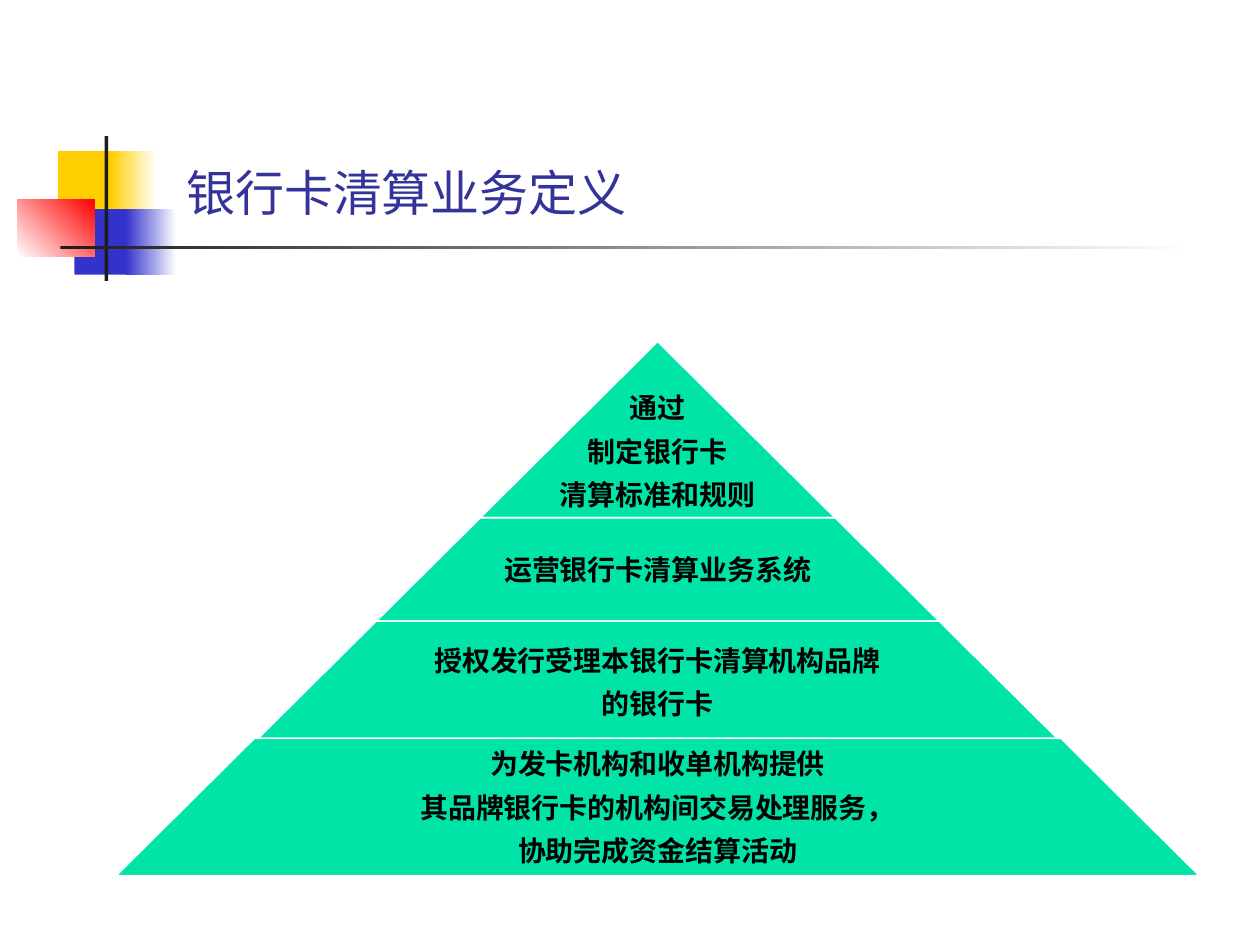
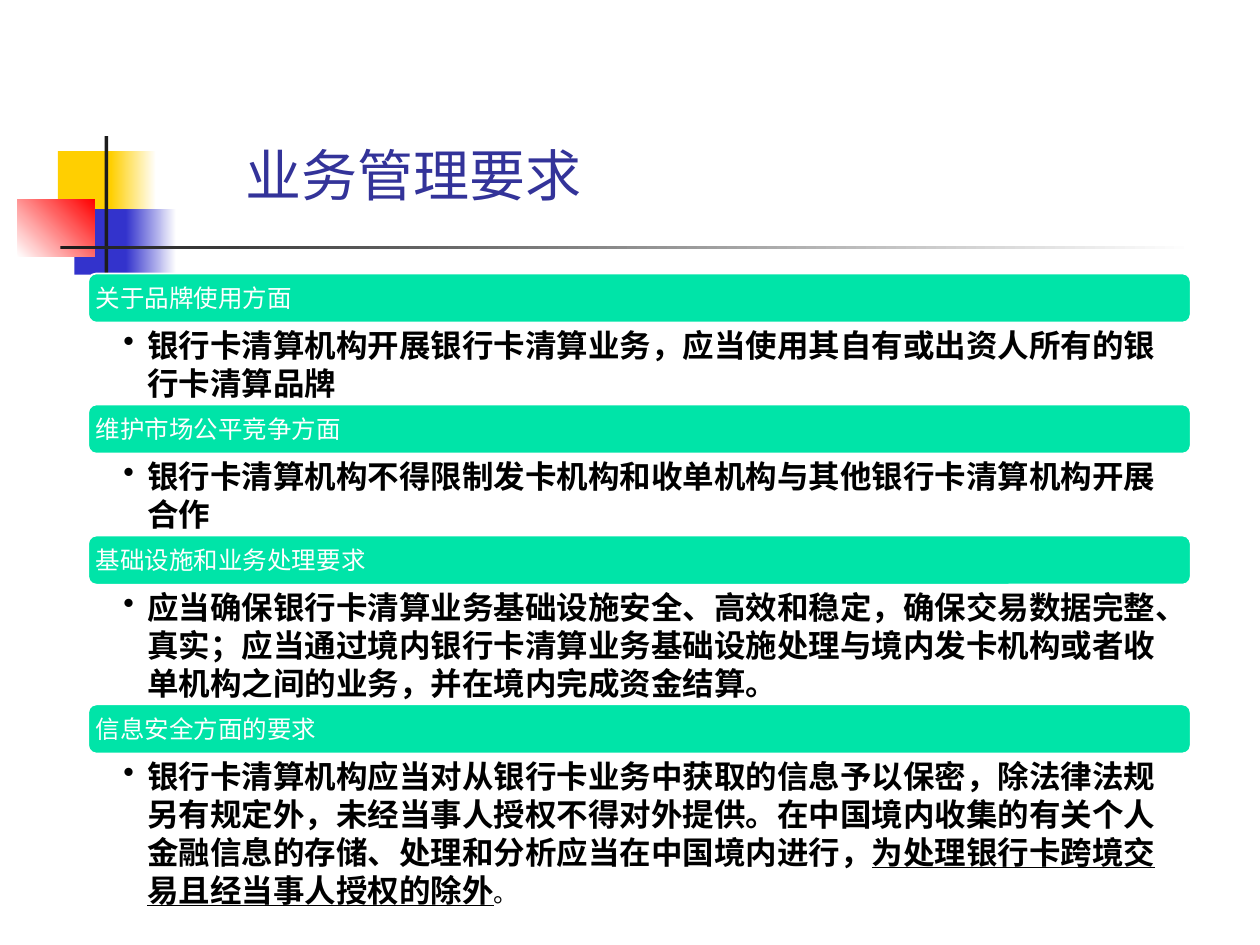
from lxml import etree
from pptx import Presentation
from pptx.dml.color import RGBColor
from pptx.enum.shapes import MSO_SHAPE
from pptx.enum.text import MSO_ANCHOR, PP_ALIGN
from pptx.oxml.ns import qn
from pptx.util import Inches, Pt

RECT, ROUND, TRAP = MSO_SHAPE.RECTANGLE, MSO_SHAPE.ROUNDED_RECTANGLE, MSO_SHAPE.TRAPEZOID
TOP, MIDDLE = MSO_ANCHOR.TOP, MSO_ANCHOR.MIDDLE
LEFT, CENTER = PP_ALIGN.LEFT, PP_ALIGN.CENTER

# Content
TITLES = ["银行卡清算业务定义", "业务管理要求"]
LAYERS = [  # height, lines
    (1.4, ["通过", "制定银行卡", "清算标准和规则"]),
    (0.82, ["运营银行卡清算业务系统"]),
    (0.96, ["授权发行受理本银行卡清算机构品牌", "的银行卡"]),
    (1.09, ["为发卡机构和收单机构提供", "其品牌银行卡的机构间交易处理服务，",
            "协助完成资金结算活动"]),
]
BOLD, UNDER, SMALL = {"bold": True}, {"bold": True, "under": True}, {"size": 14}
RULES = [  # heading, rows of text, runs
    ("关于品牌使用方面", 2,
     [("银行卡清算机构开展银行卡清算业务，应当使用其自有或出资人所有的银行卡清算品牌", BOLD)]),
    ("维护市场公平竞争方面", 2,
     [("银行卡清算机构不得限制发卡机构和收单机构与其他银行卡清算机构开展合作", BOLD)]),
    ("基础设施和业务处理要求", 3,
     [("应当确保银行卡清算业务基础设施安全、高效和稳定，确保交易数据完整、真实；"
       "应当通过境内银行卡清算业务基础设施处理与境内发卡机构或者收单机构之间的业务，"
       "并在境内完成资金结算。", BOLD)]),
    ("信息安全方面的要求", 4,
     [("银行卡清算机构应当对从银行卡业务中获取的信息予以保密，除法律法规另有规定外，"
       "未经当事人授权不得对外提供。在中国境内收集的有关个人金融信息的存储、"
       "处理和分析应当在中国境内进行，", BOLD),
      ("为处理银行卡跨境交易且经当事人授权的除外", UNDER), ("。", SMALL)]),
]

# Shared style
FONT = "Roboto"
HEX = {"gold": "FFCF01", "blue": "3333CC", "red": "FF0000", "dark": "1C1C1C",
       "white": "FFFFFF", "black": "000000", "title": "333399", "mint": "00E4A8"}
MOTIF = [  # box, colours, angle
    ((0.46, 1.2, 0.48, 0.52), ["gold"], 0),
    ((0.88, 1.2, 0.36, 0.52), ["gold", "white"], 0),
    ((0.59, 1.66, 0.46, 0.52), ["blue"], 0),
    ((1, 1.66, 0.4, 0.52), ["blue", "white"], 0),
    ((0.14, 1.58, 0.61, 0.46), ["white", "red"], 45),
    ((0.83, 1.08, 0.03, 1.15), ["dark"], 0),
    ((0.48, 1.95, 9, 0.03), ["dark", "white"], 0),
]

# Pyramid and list grid
APEX, PEAK, SLOPE = 5.22, 2.71, 1.007
LIFT = 0.03  # the base overlaps the layer above
EDGE, WIDE, START, BAND, ROW, PAD = 0.7, 8.75, 2.17, 0.39, 0.3, 0.05


def rgb(name):
    return RGBColor.from_string(HEX[name])


def place(box):
    return [Inches(v) for v in box]


def draw(slide, kind, box, tints, angle=0, edge=None):
    shape = slide.shapes.add_shape(kind, *place(box))
    shape.shadow.inherit = False
    if len(tints) == 1:
        shape.fill.solid()
        shape.fill.fore_color.rgb = rgb(tints[0])
    else:
        shape.fill.gradient()
        shape.fill.gradient_angle = angle
        for stop, tint in zip(shape.fill.gradient_stops, tints):
            stop.color.rgb = rgb(tint)
    if edge:
        shape.line.color.rgb = rgb(edge)
        shape.line.width = Pt(1)
    else:
        shape.line.fill.background()
    return shape


def write(shape, paras, size, tint, inset, anchor=TOP, align=LEFT, after=0, lead=None):
    """Fill a shape with paragraphs, each a list of (text, style) runs."""
    frame = shape.text_frame
    frame.word_wrap = True
    frame.vertical_anchor = anchor
    (frame.margin_left, frame.margin_top,
     frame.margin_right, frame.margin_bottom) = place(inset)
    for i, runs in enumerate(paras):
        para = frame.paragraphs[0] if i == 0 else frame.add_paragraph()
        para.alignment = align
        para.space_after = Pt(after)
        if lead:
            para.line_spacing = lead
        for text, style in runs:
            run = para.add_run()
            run.text = text
            font = run.font
            font.name = FONT
            font.size = Pt(style.get("size", size))
            font.bold = style.get("bold", False)
            font.underline = style.get("under", False)
            font.color.rgb = rgb(tint)
            etree.SubElement(run._r.get_or_add_rPr(), qn("a:ea"), typeface=FONT)
    return frame


def label(slide, box, *args, **kw):
    return write(slide.shapes.add_textbox(*place(box)), *args, **kw)


def bullet(para, indent):
    props = para._p.get_or_add_pPr()
    props.set("marL", str(Inches(indent)))
    props.set("indent", str(-Inches(indent)))
    etree.SubElement(props, qn("a:buChar"), char="•")


def start(deck, title, box, size, lead=None):
    """Add a slide with the motif and its title."""
    slide = deck.slides.add_slide(deck.slide_layouts[6])
    for area, tints, angle in MOTIF:
        draw(slide, RECT, area, tints, angle)
    label(slide, box, [[(title, {})]], size, "title", (0.1, 0.05, 0.1, 0.05), lead=lead)
    return slide


def pyramid(slide):
    depth, spots = 0, []
    for i, (high, lines) in enumerate(LAYERS):
        y = PEAK + depth
        depth += high
        half = SLOPE * depth
        lift = LIFT if i == len(LAYERS) - 1 else 0
        box = (APEX - half, y - lift, 2 * half, high)
        layer = draw(slide, TRAP, box, ["mint"], edge="white")
        layer.adjustments[0] = SLOPE
        spots.append((box, lines))
    for i, (box, lines) in enumerate(spots):
        head = 0.36 if i == 0 else 0.02  # keep the text clear of the tip
        label(slide, box, [[(line, BOLD)] for line in lines], 16, "black",
              (0.02, head, 0.02, 0.02), MIDDLE, CENTER, after=5.6)


def listing(slide):
    y = START
    for head, rows, runs in RULES:
        band = draw(slide, ROUND, (EDGE, y, WIDE, BAND), ["mint"], edge="white")
        write(band, [[(head, {})]], 14, "white", (0.04,) * 4, MIDDLE)
        y += BAND
        high = PAD + ROW * rows
        frame = label(slide, (EDGE, y, WIDE, high), [runs], 18, "black",
                      (0.28, 0.03, 0.14, 0.03))
        bullet(frame.paragraphs[0], 0.19)
        y += high


def main():
    deck = Presentation()
    deck.slide_width, deck.slide_height = Inches(10), Inches(7.5)
    pyramid(start(deck, TITLES[0], (1.38, 1.15, 7.99, 0.66), 28, lead=1.2))
    listing(start(deck, TITLES[1], (1.85, 1.07, 6.93, 0.47), 32))
    deck.save("out.pptx")


if __name__ == "__main__":
    main()
